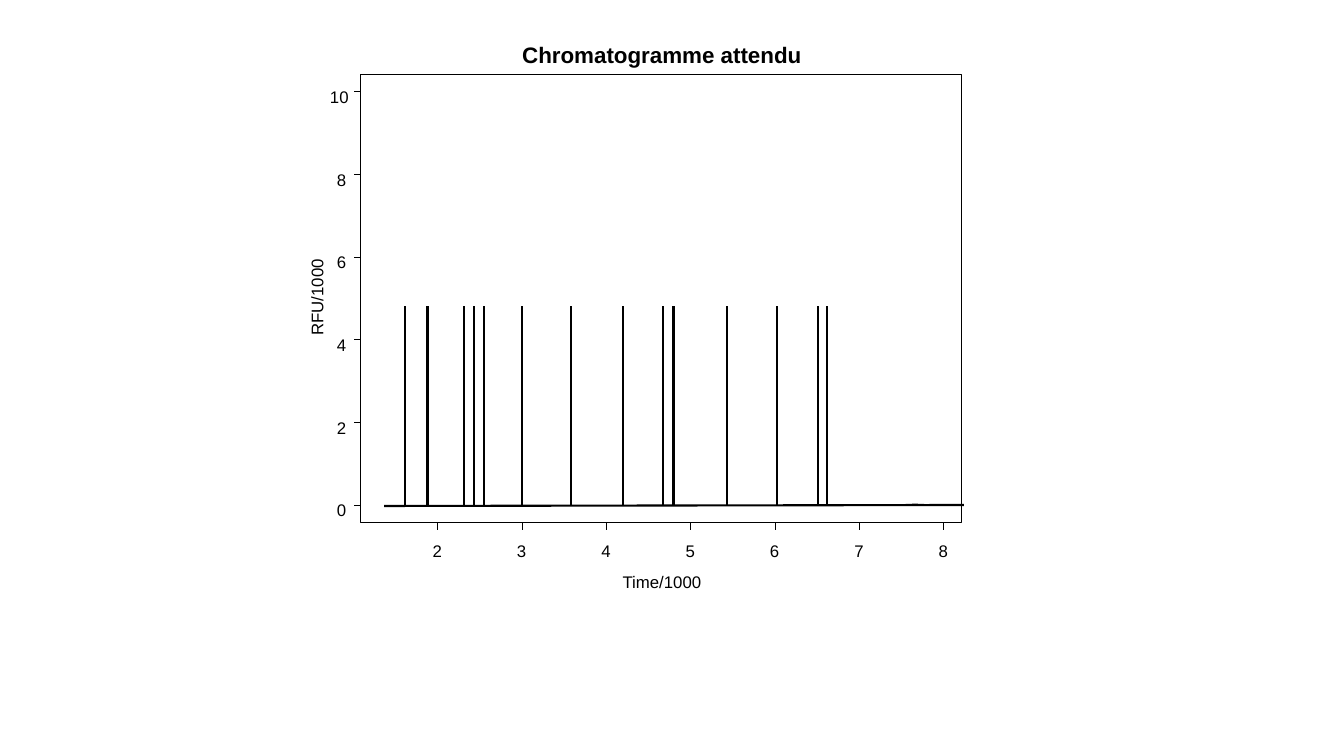
from dataclasses import dataclass

from lxml import etree
from pptx import Presentation
from pptx import util as u
from pptx.dml.color import RGBColor
from pptx.enum import shapes, text
from pptx.oxml import ns


@dataclass(frozen=True)
class Theme:
    """Colours, font, type sizes and line widths of the slide."""
    ink: RGBColor = RGBColor(0, 0, 0)
    paper: RGBColor = RGBColor(255, 255, 255)
    font: str = "Arial"
    title: int = 16
    label: int = 12
    thin: float = 0.5
    thick: float = 1.5


THEME = Theme()
PLOT_LEFT, PLOT_TOP, PLOT_WIDTH, PLOT_HEIGHT = 3.57, 0.74, 5.97, 4.44
PLOT_BOTTOM = PLOT_TOP + PLOT_HEIGHT
BASELINE, PEAK_TOP = 5.01, 3.04
FIRST_TIME_X, TIME_STEP = 4.34, 0.8367
RFU_STEP = 0.82
PEAKS = (4.02, 4.24, 4.6, 4.7, 4.8, 5.18, 5.66, 6.18, 6.58, 6.68, 7.21, 7.71, 8.11, 8.2)
TRACES = ((4.64, 5.47, 3.68), (5.47, 6.3, 3.66), (6.3, 7.14, 3.69),
          (7.14, 7.98, 3.6), (7.98, 8.82, 3.49), (8.82, 9.33, 5))


def add_line(group, start, end, width=THEME.thin):
    """Draw a straight line between two points."""
    points = [u.Inches(value) for value in (*start, *end)]
    line = group.shapes.add_connector(shapes.MSO_CONNECTOR.STRAIGHT, *points)
    line.line.color.rgb = THEME.ink
    line.line.width = u.Pt(width)
    etree.SubElement(line._element.spPr, ns.qn("a:effectLst"))


def add_box(group, left, top, width, height, line_color, line_width, fill=None):
    """Draw a rectangle, filled or hollow."""
    box = group.shapes.add_shape(shapes.MSO_SHAPE.RECTANGLE,
                                 *(u.Inches(value) for value in (left, top, width, height)))
    box.shadow.inherit = False
    if fill is None:
        box.fill.background()
    else:
        box.fill.solid()
        box.fill.fore_color.rgb = fill
    box.line.color.rgb = line_color
    box.line.width = u.Pt(line_width)


def add_text(group, content, left, top, width, height=0.2, size=THEME.label, bold=False, rotation=0):
    """Place a centred single-line label."""
    box = group.shapes.add_textbox(*(u.Inches(value) for value in (left, top, width, height)))
    box.rotation = rotation
    frame = box.text_frame
    frame.margin_left = frame.margin_top = frame.margin_right = frame.margin_bottom = 0
    frame.word_wrap = False
    frame.auto_size = text.MSO_AUTO_SIZE.SHAPE_TO_FIT_TEXT
    paragraph = frame.paragraphs[0]
    paragraph.alignment = text.PP_ALIGN.CENTER
    run = paragraph.add_run()
    run.text = content
    run.font.name = THEME.font
    run.font.size = u.Pt(size)
    run.font.bold = bold
    run.font.color.rgb = THEME.ink


def add_trace(group, start, end, top):
    """Draw one stretch of the signal with a spike at each peak inside it."""
    points = []
    for peak in PEAKS:
        if start < peak < end:
            points += [(peak, BASELINE), (peak, top), (peak, BASELINE)]
    points = points or [((start + end) / 2, top)]
    points.append((end, BASELINE))
    builder = group.shapes.build_freeform(u.Inches(start), u.Inches(BASELINE))
    builder.add_line_segments([(u.Inches(x), u.Inches(y)) for x, y in points], close=False)
    trace = builder.convert_to_shape()
    trace.shadow.inherit = False
    trace.fill.background()
    trace.line.color.rgb = THEME.ink
    trace.line.width = u.Pt(THEME.thin)


def add_time_axis(group):
    """Draw the horizontal axis with its ticks and numbers."""
    last_x = FIRST_TIME_X + 6 * TIME_STEP
    add_line(group, (FIRST_TIME_X, PLOT_BOTTOM), (last_x, PLOT_BOTTOM))
    for index in range(7):
        x = FIRST_TIME_X + index * TIME_STEP
        add_line(group, (x, PLOT_BOTTOM), (x, PLOT_BOTTOM + 0.08))
        add_text(group, str(index + 2), x - 0.05, 5.36, 0.09)


def add_rfu_axis(group):
    """Draw the vertical axis with its ticks and numbers."""
    add_line(group, (PLOT_LEFT, BASELINE), (PLOT_LEFT, BASELINE - 5 * RFU_STEP))
    for index in range(6):
        y = BASELINE - index * RFU_STEP
        number = str(2 * index)
        width = 0.09 if len(number) == 1 else 0.19
        left = 3.34 if len(number) == 1 else 3.27
        add_line(group, (PLOT_LEFT, y), (PLOT_LEFT - 0.06, y))
        add_text(group, number, left, y - 0.05, width)


def main():
    """Build the chromatogram slide and save it."""
    presentation = Presentation()
    presentation.slide_width = u.Inches(13.33)
    presentation.slide_height = u.Inches(7.5)
    slide = presentation.slides.add_slide(presentation.slide_layouts[6])
    group = slide.shapes.add_group_shape()
    add_box(group, 2.96, 0.41, 7.08, 5.67, THEME.paper, 1, fill=THEME.paper)
    for peak in PEAKS:
        add_line(group, (peak, PEAK_TOP), (peak, BASELINE), THEME.thick)
    for trace in TRACES:
        add_trace(group, *trace)
    add_time_axis(group)
    add_rfu_axis(group)
    add_box(group, PLOT_LEFT, PLOT_TOP, PLOT_WIDTH, PLOT_HEIGHT, THEME.ink, THEME.thin)
    add_text(group, "Chromatogramme attendu", 5.16, 0.41, 2.81, 0.27, size=THEME.title, bold=True)
    add_text(group, "Time/1000", 6.17, 5.67, 0.79)
    add_text(group, "RFU/1000", 2.76, 2.85, 0.76, rotation=270)
    add_line(group, (3.81, 5.02), (9.56, BASELINE), THEME.thick)
    presentation.save("out.pptx")


if __name__ == "__main__":
    main()
